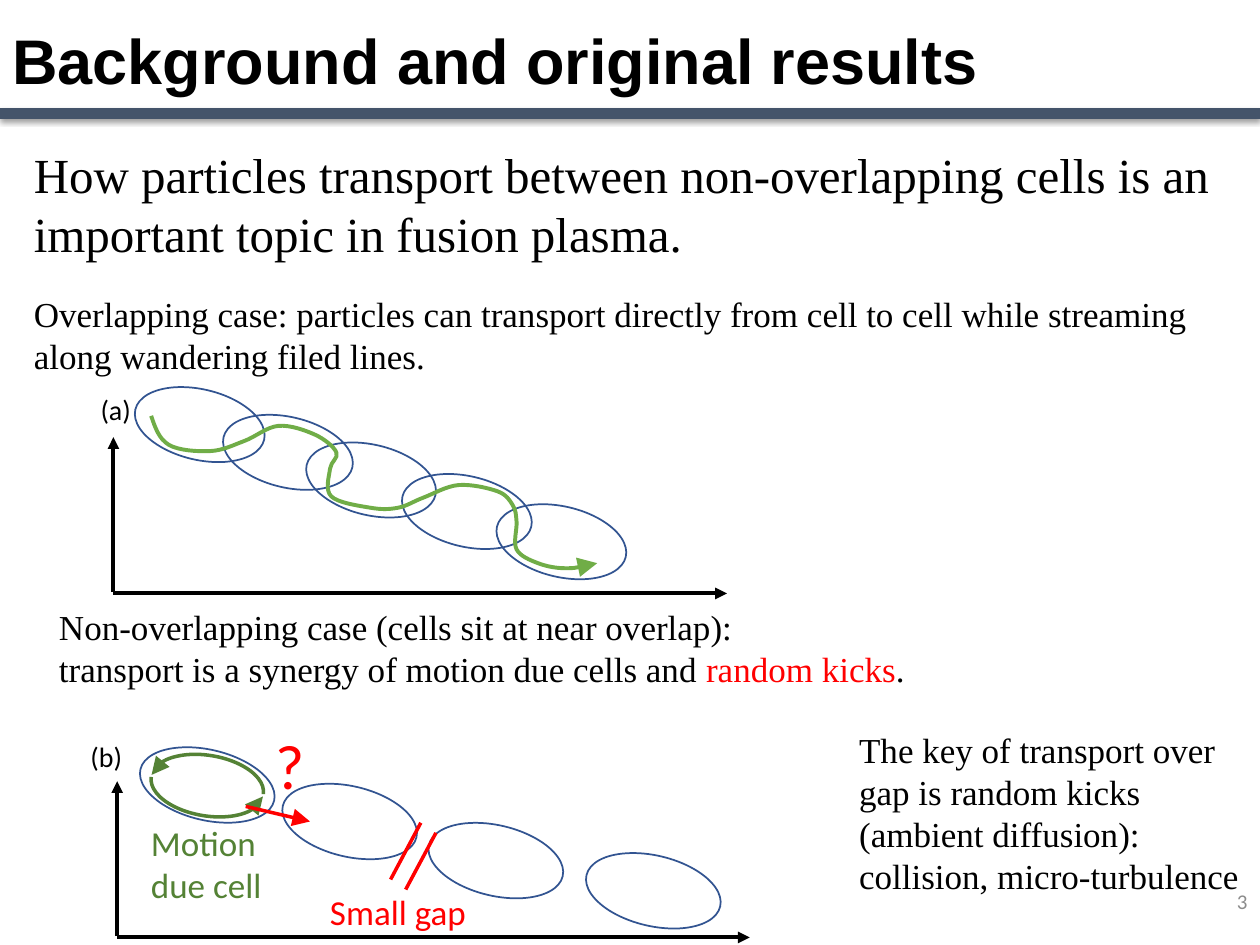
from lxml import etree
from pptx import Presentation
from pptx.dml.color import RGBColor
from pptx.enum.shapes import MSO_CONNECTOR, MSO_SHAPE
from pptx.enum.text import MSO_ANCHOR, PP_ALIGN
from pptx.oxml.ns import qn
from pptx.util import Inches, Pt

STRAIGHT = MSO_CONNECTOR.STRAIGHT
ELLIPSE, ARC = MSO_SHAPE.OVAL, MSO_SHAPE.ARC
TOP, MIDDLE = MSO_ANCHOR.TOP, MSO_ANCHOR.MIDDLE
LEFT, RIGHT, JUSTIFY = PP_ALIGN.LEFT, PP_ALIGN.RIGHT, PP_ALIGN.JUSTIFY

COLORS = {
    "black": "000000", "rule": "44546A", "cell": "325491", "path": "70AD47",
    "motion": "548235", "red": "FF0000", "number": "8C8C8C",
}
SERIF, SANS, HEADING = "Times New Roman", "Calibri", "Arial"
CELL_TILT = 13.2


def color(name):
    return RGBColor.from_string(COLORS[name])


def phantom(first, second, third):
    return tuple(2.5 * a - 2 * b + 0.5 * c for a, b, c in zip(first, second, third))


def bezier_segments(anchors):
    """Return two controls and an end for each span of a smooth curve."""
    padded = [phantom(*anchors[:3]), *anchors, phantom(*anchors[:-4:-1])]
    return [
        (tuple(b + (c - a) / 6 for a, b, c in zip(before, start, end)),
         tuple(c - (d - b) / 6 for b, c, d in zip(start, end, after)), end)
        for before, start, end, after in zip(padded, padded[1:], padded[2:], padded[3:])]


class SlideWriter:
    """Draws styled elements on the current slide or group."""

    def __init__(self, slide):
        self.slide = slide
        self.shapes = slide.shapes

    def start_group(self):
        self.shapes = self.slide.shapes.add_group_shape().shapes

    def end_group(self):
        self.shapes = self.slide.shapes

    def stroke(self, shape, name, width, arrow=None, head="lg"):
        shape.line.color.rgb = color(name)
        shape.line.width = Pt(width)
        if arrow:
            outline = shape._element.spPr.find(qn("a:ln"))
            etree.SubElement(outline, qn(f"a:{arrow}"), type="triangle", w=head, len=head)

    def line(self, start, end, name, width, arrow=None, head="lg"):
        connector = self.shapes.add_connector(
            STRAIGHT, *(Inches(value) for value in (*start, *end)))
        self.stroke(connector, name, width, arrow, head)
        return etree.SubElement(connector._element.spPr, qn("a:effectLst"))

    def shadowed_line(self, start, end, name, width):
        effects = self.line(start, end, name, width)
        shadow = etree.SubElement(
            effects, qn("a:outerShdw"), blurRad=str(Pt(3.1)), dist=str(Pt(1.6)),
            dir="5400000", rotWithShape="0")
        shade = etree.SubElement(shadow, qn("a:srgbClr"), val=COLORS["black"])
        etree.SubElement(shade, qn("a:alpha"), val="38000")

    def axes(self, corner, right, top):
        x, y = corner
        self.line(corner, (right, y), "black", 2.25, "tailEnd", "med")
        self.line((x, y - 0.01), (x, top), "black", 2.25, "tailEnd", "med")

    def outline(self, kind, frame, rotation, name, width, arrow=None):
        shape = self.shapes.add_shape(kind, *(Inches(value) for value in frame))
        shape.rotation = rotation
        shape.shadow.inherit = False
        shape.fill.background()
        self.stroke(shape, name, width, arrow)
        return shape

    def cells(self, corners, width):
        for corner in corners:
            self.outline(ELLIPSE, (*corner, width, 0.56), CELL_TILT, "cell", 1)

    def half_turn(self, frame, rotation):
        arc = self.outline(ARC, frame, rotation, "motion", 2, "headEnd")
        arc.adjustments[0], arc.adjustments[1] = 54.56, 162

    def curve(self, anchors, name, width):
        points = [(Inches(x), Inches(y)) for x, y in anchors]
        builder = self.shapes.build_freeform(*points[0])
        builder.add_line_segments(points[1:], close=False)
        shape = builder.convert_to_shape()
        straight = list(shape._element.spPr.iter(qn("a:lnTo")))
        for segment, stops in zip(straight, bezier_segments(points)):
            bend = etree.Element(qn("a:cubicBezTo"))
            for x, y in stops:
                etree.SubElement(bend, qn("a:pt"), x=str(round(x - shape.left)),
                                 y=str(round(y - shape.top)))
            segment.getparent().replace(segment, bend)
        shape.shadow.inherit = False
        shape.fill.background()
        self.stroke(shape, name, width, "tailEnd")

    def text(self, frame, paragraphs, size, font=SERIF, name="black", bold=False,
             align=LEFT, anchor=TOP, wrap=True):
        box = self.shapes.add_textbox(*(Inches(value) for value in frame))
        body = box.text_frame
        body.word_wrap = wrap
        body.vertical_anchor = anchor
        for index, spans in enumerate(paragraphs):
            para = body.add_paragraph() if index else body.paragraphs[0]
            para.alignment = align
            para.font.name, para.font.size, para.font.bold = font, Pt(size), bold
            para.font.color.rgb = color(name)
            for words, tint in spans:
                span = para.add_run()
                span.text = words
                if tint:
                    span.font.color.rgb = color(tint)

    def label(self, frame, words, size, *style, **options):
        self.text(frame, [[(words, None)]], size, *style, **options)


def draw_overlapping(writer):
    writer.start_group()
    writer.axes((0.9, 4.71), 5.77, 3.47)
    writer.cells([(1.06, 3.09), (1.76, 3.31), (3.93, 4.02), (3.18, 3.78),
                  (2.42, 3.53)], 1.05)
    writer.curve([(1.2, 3.3), (1.34, 3.53), (1.67, 3.58), (1.94, 3.5), (2.21, 3.38),
                  (2.5, 3.45), (2.67, 3.59), (2.62, 3.72), (2.63, 3.94), (2.94, 4.03),
                  (3.16, 4.03), (3.36, 3.95), (3.64, 3.85), (3.95, 3.9), (4.07, 4.01),
                  (4.1, 4.14), (4.1, 4.36), (4.27, 4.47), (4.49, 4.51), (4.74, 4.47)],
                 "path", 2.25)
    writer.label((0.7, 3.07, 0.5, 0.44), "(a)", 16, SANS, align=JUSTIFY)
    writer.end_group()


def draw_separated(writer):
    writer.start_group()
    writer.label((1.1, 6.47, 1.43, 0.77), "Motion due cell", 20, SANS, "motion")
    writer.label((2.52, 7.02, 1.59, 0.44), "Small gap", 20, SANS, "red")
    writer.axes((0.93, 7.44), 5.95, 6.2)
    writer.cells([(1.1, 5.95), (2.23, 6.24), (4.64, 6.79), (3.39, 6.55)], 1.09)
    writer.half_turn((1.41, 5.78, 0.47, 0.9), 99.3)
    writer.half_turn((1.41, 5.79, 0.47, 0.9), 279.4)
    writer.line((1.95, 6.4), (2.46, 6.52), "red", 2, "tailEnd")
    writer.label((2.09, 5.72, 0.4, 0.44), "?", 36, SANS, "red")
    for x, y in [(3.22, 7.06), (3.1, 6.98)]:
        writer.line((x, y), (x + 0.24, y - 0.45), "red", 2)
    writer.label((0.62, 5.82, 0.53, 0.43), "(b)", 16, SANS, align=JUSTIFY)
    writer.end_group()


def main():
    deck = Presentation()
    deck.slide_width, deck.slide_height = Inches(10), Inches(7.5)
    writer = SlideWriter(deck.slides.add_slide(deck.slide_layouts[6]))
    writer.shadowed_line((0, 0.9), (10, 0.9), "rule", 6)
    writer.label((0.17, 1.1, 9.53, 1.04),
                 "How particles transport between non-overlapping cells is an "
                 "important topic in fusion plasma.", 28)
    writer.label((0.17, 2.27, 9.45, 0.77),
                 "Overlapping case: particles can transport directly from cell to cell "
                 "while streaming along wandering filed lines.", 20)
    writer.text((0.37, 4.76, 8.97, 0.77), [
        [("Non-overlapping case (cells sit at near overlap):", None)],
        [("transport is a synergy of motion due cells and ", None),
         ("random kicks", "red"), (".", None)],
    ], 20)
    writer.label((6.72, 5.73, 3.32, 1.45),
                 "The key of transport over gap is random kicks (ambient diffusion): "
                 "collision, micro-turbulence", 20)
    draw_overlapping(writer)
    draw_separated(writer)
    writer.label((7.67, 6.95, 2.33, 0.4), "3", 12, SANS, "number",
                 align=RIGHT, anchor=MIDDLE)
    writer.label((0, 0.12, 7.94, 0.71), "Background and original results", 36,
                 HEADING, bold=True, wrap=False)
    deck.save("out.pptx")


if __name__ == "__main__":
    main()
